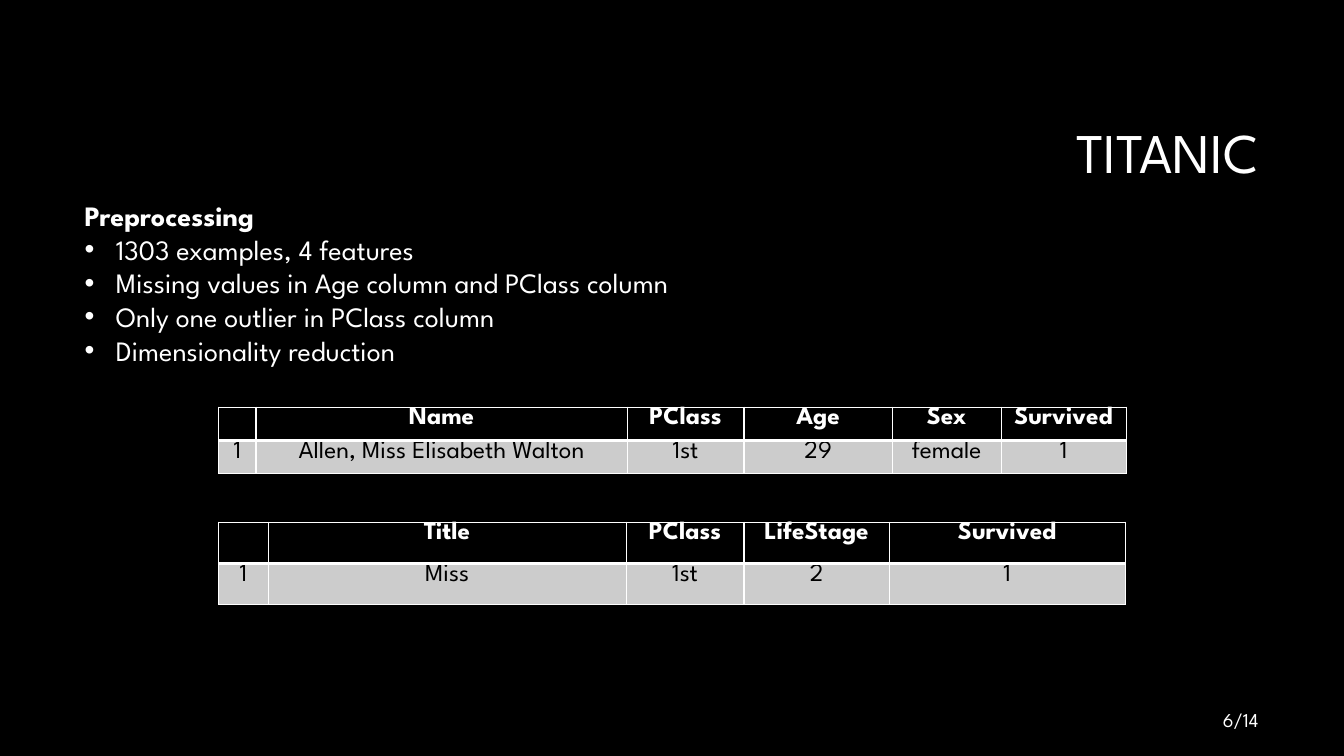
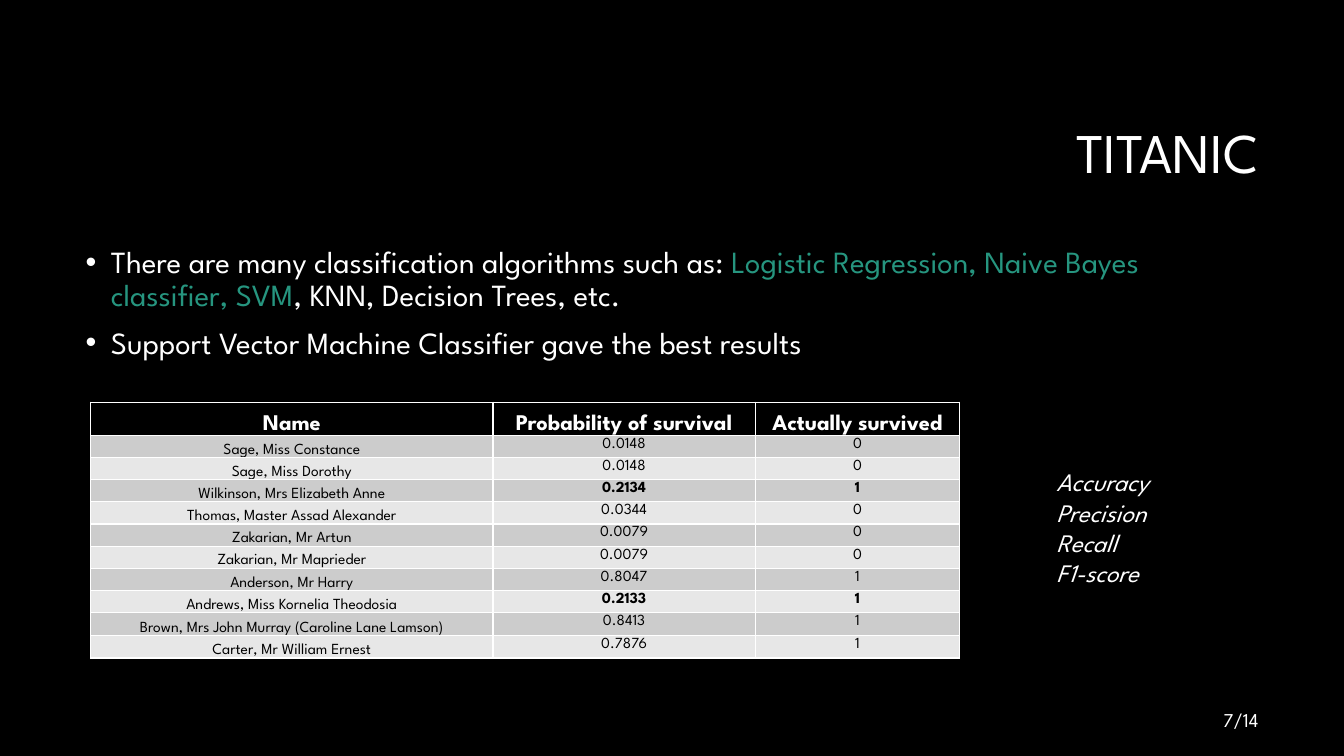
from lxml import etree
from pptx import Presentation
from pptx import util as u
from pptx.dml.color import RGBColor
from pptx.enum import text
from pptx.oxml.ns import qn

BLACK = RGBColor(0x00, 0x00, 0x00)
WHITE = RGBColor(0xFF, 0xFF, 0xFF)
GREEN = RGBColor(0x26, 0x95, 0x7F)
BANDS = RGBColor(0xCC, 0xCC, 0xCC), RGBColor(0xE7, 0xE7, 0xE7)
FONT = "League Spartan"
RIGHT_EDGE = 12.58


def style_paragraph(paragraph, size, color=WHITE, bold=False, align=None, bullet_indent=None):
    """Set font and alignment; bullet_indent is None to inherit, 0 for no bullet."""
    if bullet_indent is not None:
        props = paragraph._p.get_or_add_pPr()
        props.set("marL", str(u.Inches(bullet_indent)))
        props.set("indent", str(-u.Inches(bullet_indent)))
        if bullet_indent:
            etree.SubElement(props, qn("a:buFont"), typeface="Arial")
            etree.SubElement(props, qn("a:buChar"), char="•")
        else:
            etree.SubElement(props, qn("a:buNone"))
    paragraph.alignment = align
    font = paragraph.font
    font.name, font.size, font.bold = FONT, u.Pt(size), bold
    font.color.rgb = color


def add_ruled_table(slide, left, top, widths, heights, rows, header_size, body_size, header_rule=1):
    """Add a table with a black header, grey bands and white rules; header_rule is in points."""
    table = slide.shapes.add_table(
        len(rows), len(widths), u.Inches(left), u.Inches(top),
        u.Inches(sum(widths)), u.Inches(sum(heights))).table
    table.horz_banding = False
    for column, width in zip(table.columns, widths):
        column.width = u.Inches(width)
    for r, values in enumerate(rows):
        table.rows[r].height = u.Inches(heights[r])
        for c, value in enumerate(values):
            cell = table.cell(r, c)
            cell.text = value
            cell.margin_left = cell.margin_right = u.Inches(0.07)
            cell.margin_top = cell.margin_bottom = 0
            cell.fill.solid()
            cell.fill.fore_color.rgb = BANDS[(r - 1) % 2] if r else BLACK
            style_paragraph(cell.text_frame.paragraphs[0], body_size if r else header_size,
                            BLACK if r else WHITE, r == 0, text.PP_ALIGN.CENTER)
            rules = {"a:lnL": 1, "a:lnR": 1,
                     "a:lnT": header_rule if r == 1 else 1,
                     "a:lnB": header_rule if r == 0 else 1}
            cell_props = cell._tc.get_or_add_tcPr()
            for position, (side, points) in enumerate(rules.items()):
                rule = etree.Element(qn(side), w=str(u.Pt(points)))
                fill = etree.SubElement(rule, qn("a:solidFill"))
                etree.SubElement(fill, qn("a:srgbClr"), val=str(WHITE))
                cell_props.insert(position, rule)
    return table


prs = Presentation()
prs.slide_width, prs.slide_height = u.Inches(13.33), u.Inches(7.5)
prs.slide_master.background.fill.solid()
prs.slide_master.background.fill.fore_color.rgb = BLACK

# Title, body area and page number of both slides
pages = [("6/14", 9.77, (0.74, 1.92, 7.85, 1.78)),
         ("7/14", 3.17, (0.75, 2.4, 11.83, 1.41))]
slides = []
for page_number, title_left, body_box in pages:
    slide = prs.slides.add_slide(prs.slide_layouts[1])
    slides.append(slide)

    title, body = slide.placeholders
    title.left, title.top = u.Inches(title_left), u.Inches(0.84)
    title.width, title.height = u.Inches(RIGHT_EDGE - title_left), u.Inches(1.41)
    title.text_frame.text = "TITANIC"
    title.text_frame.auto_size = text.MSO_AUTO_SIZE.NONE
    title.text_frame.vertical_anchor = text.MSO_ANCHOR.MIDDLE
    heading = title.text_frame.paragraphs[0]
    style_paragraph(heading, 40, align=text.PP_ALIGN.RIGHT)
    heading.line_spacing = 0.9

    body.left, body.top, body.width, body.height = map(u.Inches, body_box)
    body.text_frame.auto_size = text.MSO_AUTO_SIZE.NONE

    footer = slide.shapes.add_textbox(
        u.Inches(RIGHT_EDGE - 3), u.Inches(6.94), u.Inches(3), u.Inches(0.4)).text_frame
    footer.word_wrap = True
    footer.vertical_anchor = text.MSO_ANCHOR.MIDDLE
    footer.text = page_number
    style_paragraph(footer.paragraphs[0], 14, align=text.PP_ALIGN.RIGHT)

preprocessing, results = slides

# Preprocessing
steps = preprocessing.placeholders[1].text_frame
steps.text = "\n".join([
    "Preprocessing",
    "1303 examples, 4 features",
    "Missing values in Age column and PClass column",
    "Only one outlier in PClass column",
    "Dimensionality reduction",
])
for i, step in enumerate(steps.paragraphs):
    style_paragraph(step, 20, bold=i == 0, bullet_indent=0.31 if i else 0)
    step.space_before = u.Pt(0)

add_ruled_table(
    preprocessing, 2.17, 4.04, [0.37, 3.68, 1.16, 1.47, 1.08, 1.24], [0.33] * 2,
    [("", "Name", "PClass", "Age", "Sex", "Survived"),
     ("1", "Allen, Miss Elisabeth Walton", "1st", "29", "female", "1")],
    18, 18, header_rule=3)
add_ruled_table(
    preprocessing, 2.17, 5.18, [0.49, 3.55, 1.17, 1.44, 2.34], [0.41] * 2,
    [("", "Title", "PClass", "LifeStage", "Survived"),
     ("1", "Miss", "1st", "2", "1")],
    18, 18, header_rule=3)

# Classification results
findings = results.placeholders[1].text_frame
algorithms, best = findings.paragraphs[0], findings.add_paragraph()
for finding in (algorithms, best):
    style_paragraph(finding, 22, bullet_indent=0.25)
    finding.line_spacing = 0.9
    finding.space_before = u.Pt(10)
for wording, color in [
        ("There are many classification algorithms such as: ", WHITE),
        ("Logistic Regression, Naive Bayes classifier, SVM", GREEN),
        (", KNN, Decision Trees, etc.", WHITE)]:
    run = algorithms.add_run()
    run.text = wording
    run.font.color.rgb = color
best.add_run().text = "Support Vector Machine Classifier gave the best results"

passengers = [
    ("Sage, Miss Constance", "0.0148", "0"),
    ("Sage, Miss Dorothy", "0.0148", "0"),
    ("Wilkinson, Mrs Elizabeth Anne", "0.2134", "1"),
    ("Thomas, Master Assad Alexander", "0.0344", "0"),
    ("Zakarian, Mr Artun", "0.0079", "0"),
    ("Zakarian, Mr Maprieder", "0.0079", "0"),
    ("Anderson, Mr Harry", "0.8047", "1"),
    ("Andrews, Miss Kornelia Theodosia", "0.2133", "1"),
    ("Brown, Mrs John Murray (Caroline Lane Lamson)", "0.8413", "1"),
    ("Carter, Mr William Ernest", "0.7876", "1"),
]
predictions = add_ruled_table(
    results, 0.9, 3.99, [3.99, 2.6, 2.03], [0.33] + [0.22] * 8 + [0.23, 0.22],
    [("Name", "Probability of survival", "Actually survived")] + passengers, 16, 11)
for cell in predictions.rows[0].cells:
    cell.vertical_anchor = text.MSO_ANCHOR.BOTTOM
for r, (_, probability, survived) in enumerate(passengers, 1):
    predictions.cell(r, 0).vertical_anchor = text.MSO_ANCHOR.BOTTOM
    misjudged = survived == "1" and float(probability) < 0.5
    for c in (1, 2):
        figure = predictions.cell(r, c).text_frame.paragraphs[0]
        figure.line_spacing = 1.15
        figure.font.bold = misjudged

metrics = results.shapes.add_textbox(
    u.Inches(10.38), u.Inches(4.58), u.Inches(1.42), u.Inches(1.31)).text_frame
metrics.word_wrap = True
metrics.text = "Accuracy\nPrecision\nRecall\nF1-score"
for metric in metrics.paragraphs:
    style_paragraph(metric, 18)
    metric.font.italic = True

prs.save("out.pptx")
